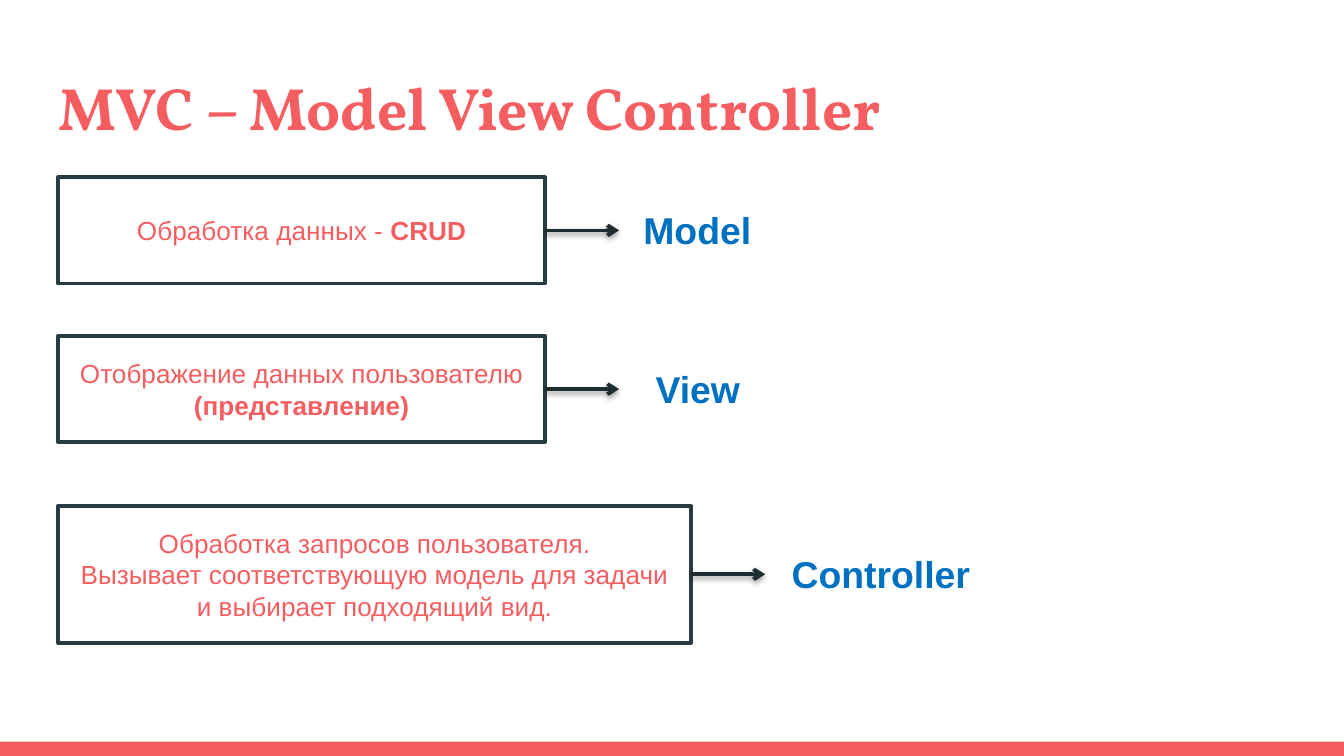
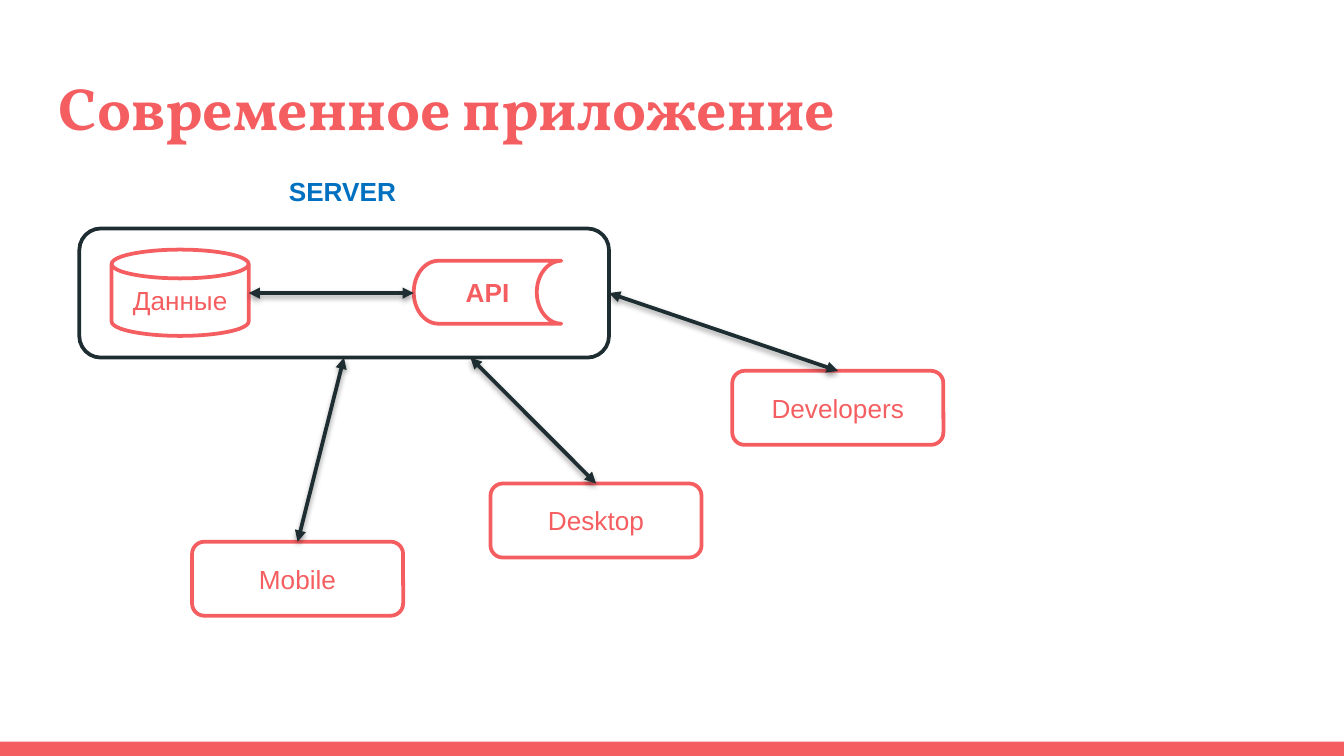
import pptx
import pptx.dml.color
import pptx.enum.shapes
import pptx.enum.text
import pptx.oxml
import pptx.oxml.ns
import pptx.util
from lxml import etree

Cm = pptx.util.Cm
rgb = pptx.dml.color.RGBColor.from_string
qn = pptx.oxml.ns.qn
SHAPE = pptx.enum.shapes.MSO_SHAPE
ALIGN = pptx.enum.text.PP_ALIGN
ANCHOR = pptx.enum.text.MSO_ANCHOR
FIT = pptx.enum.text.MSO_AUTO_SIZE

CORAL, WHITE, BLUE = "F55E61", "FFFFFF", "0070C0"
FRAME, DARK = "273C42", "1E2D31"
TITLE = {"name": "Vollkorn", "size": pptx.util.Pt(32), "bold": True}
LABEL = {"name": "Arial", "size": pptx.util.Pt(20), "bold": True}
BODY = {"name": "Arial", "size": pptx.util.Pt(14), "bold": False}
STRONG = BODY | {"bold": True}
SHADOW = (
    f'<a:effectLst {pptx.oxml.ns.nsdecls("a")}>'
    '<a:outerShdw blurRad="39370" dist="20320" dir="5400000" rotWithShape="0">'
    '<a:srgbClr val="000000"><a:alpha val="38000"/></a:srgbClr>'
    '</a:outerShdw></a:effectLst>'
)


def add_box(s, kind, at, paragraphs=(), line=None, color=CORAL, fill=WHITE):
    place = [Cm(v) for v in at]
    if kind is None:
        sp = s.shapes.add_textbox(*place)
    else:
        sp = s.shapes.add_shape(kind, *place)
        sp.shadow.inherit = False
        sp.fill.solid()
        sp.fill.fore_color.rgb = rgb(fill)
        if line:
            sp.line.color.rgb = rgb(line)
            sp.line.width = pptx.util.Pt(2)
        else:
            sp.line.fill.background()
        sp.text_frame.vertical_anchor = ANCHOR.MIDDLE
    tf = sp.text_frame
    for i, runs in enumerate(paragraphs):
        p = tf.add_paragraph() if i else tf.paragraphs[0]
        p.alignment = ALIGN.LEFT if kind is None else ALIGN.CENTER
        for text, style in runs:
            r = p.add_run()
            r.text = text
            r.font.color.rgb = rgb(color)
            for name, value in style.items():
                setattr(r.font, name, value)
    return sp


def add_arrow(s, x1, y1, x2, y2, ends):
    c = s.shapes.add_connector(
        pptx.enum.shapes.MSO_CONNECTOR.STRAIGHT, Cm(x1), Cm(y1), Cm(x2), Cm(y2)
    )
    c.line.color.rgb = rgb(DARK)
    c.line.width = pptx.util.Pt(2)
    props = c._element.spPr
    for end, kind in ends.items():
        etree.SubElement(props.find(qn("a:ln")), qn(f"a:{end}"), type=kind)
    props.append(pptx.oxml.parse_xml(SHADOW))


prs = pptx.Presentation()
prs.slide_width, prs.slide_height = Cm(25.4), Cm(14.29)

slides = []
for title in ("MVC – Model View Controller", "Современное приложение"):
    s = prs.slides.add_slide(prs.slide_layouts[6])
    add_box(s, SHAPE.RECTANGLE, (0, 14.02, 25.4, 0.27), fill=CORAL)
    tf = add_box(s, None, (0.86, 1.09, 23.67, 1.73), [[(title, TITLE)]]).text_frame
    tf.word_wrap = True
    for side in ("left", "top", "right", "bottom"):
        setattr(tf, f"margin_{side}", Cm(0.25))
    slides.append(s)
mvc, app = slides

roles = [
    (3.35, 9.2, 2.01, "Model", 11.91, 2.57,
     [[("Обработка данных - ", BODY), ("CRUD", STRONG)]]),
    (6.35, 9.2, 2.01, "View", 12.14, 2.13,
     [[("Отображение данных пользователю", BODY)], [("(представление)", STRONG)]]),
    (9.56, 11.96, 2.59, "Controller", 14.71, 3.91,
     [[("Обработка запросов пользователя.", BODY)],
      [("Вызывает соответствующую модель для задачи и выбирает подходящий вид.", BODY)]]),
]
left, label_height = 1.1, 1.12
for top, width, height, name, label_left, label_width, task in roles:
    add_box(mvc, SHAPE.RECTANGLE, (left, top, width, height), task, FRAME)
    right, middle = left + width, top + height / 2
    add_arrow(mvc, right, middle, right + 1.4, middle, {"tailEnd": "arrow"})
    label = add_box(
        mvc, None, (label_left, middle - label_height / 2, label_width, label_height),
        [[(name, LABEL)]], color=BLUE,
    )
    label.text_frame.word_wrap = False
    label.text_frame.auto_size = FIT.SHAPE_TO_FIT_TEXT

both = {"headEnd": "triangle", "tailEnd": "triangle"}
add_box(app, SHAPE.ROUNDED_RECTANGLE, (1.5, 4.32, 10.01, 2.44), line=DARK)
add_box(app, SHAPE.FLOWCHART_MAGNETIC_DISK, (2.11, 4.72, 2.59, 1.63),
        [[("Данные", BODY)]], CORAL)
add_box(app, SHAPE.FLOWCHART_STORED_DATA, (7.82, 4.93, 2.79, 1.19),
        [[("API", STRONG)]], CORAL)
label = add_box(app, None, (5.21, 3.2, 2.57, 0.86), [[("SERVER", STRONG)]], color=BLUE)
label.text_frame.word_wrap = False
label.text_frame.auto_size = FIT.SHAPE_TO_FIT_TEXT
add_arrow(app, 4.7, 5.54, 7.82, 5.54, both)

clients = [
    ("Mobile", 3.63, 10.24, 6.5, 6.76),
    ("Desktop", 9.27, 9.14, 8.89, 6.76),
    ("Developers", 13.84, 7.01, 11.51, 5.54),
]
client_width, client_height = 3.99, 1.4
for name, x, y, from_x, from_y in clients:
    add_box(app, SHAPE.ROUNDED_RECTANGLE, (x, y, client_width, client_height),
            [[(name, BODY)]], CORAL)
    add_arrow(app, from_x, from_y, x + client_width / 2, y, both)

prs.save("out.pptx")
